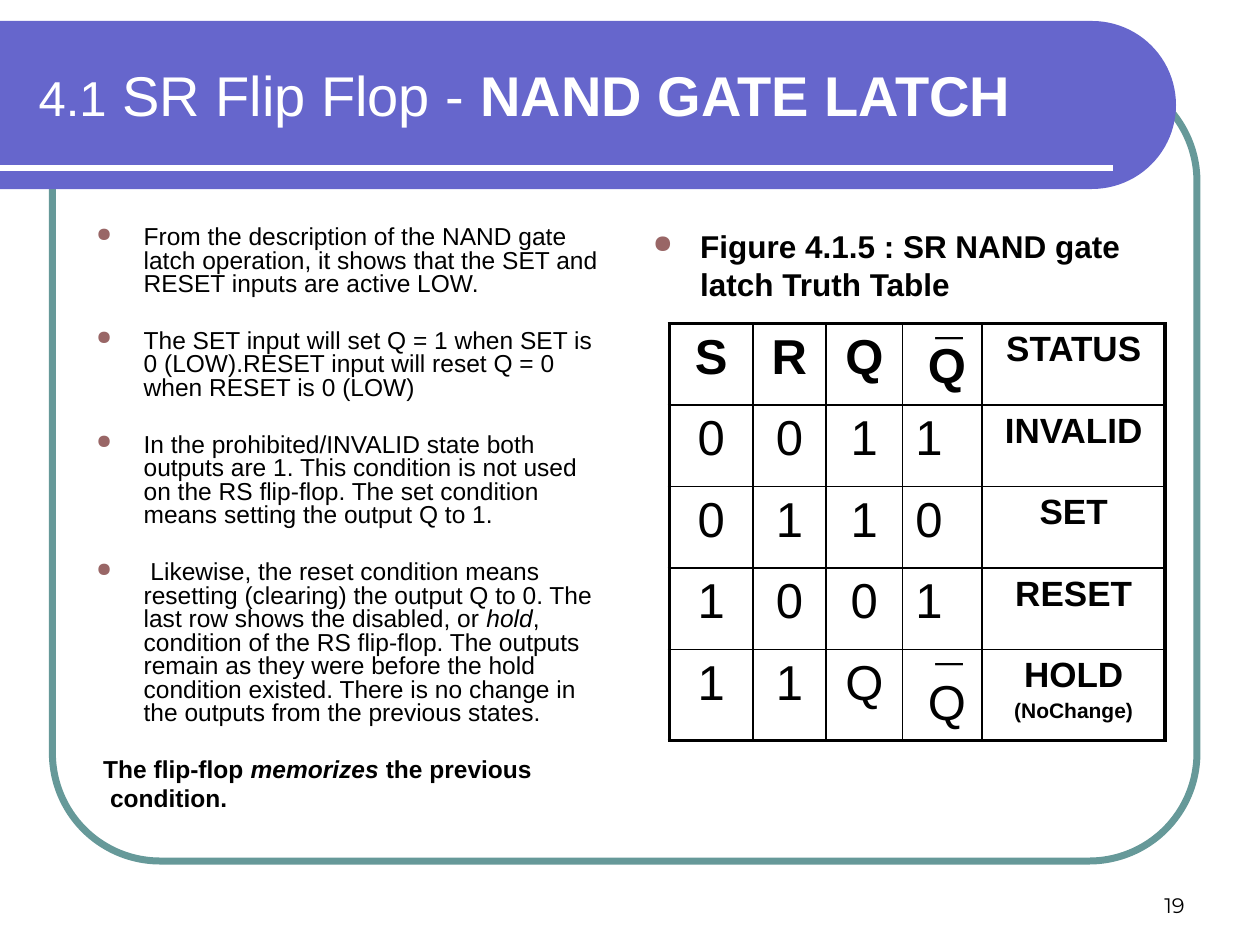
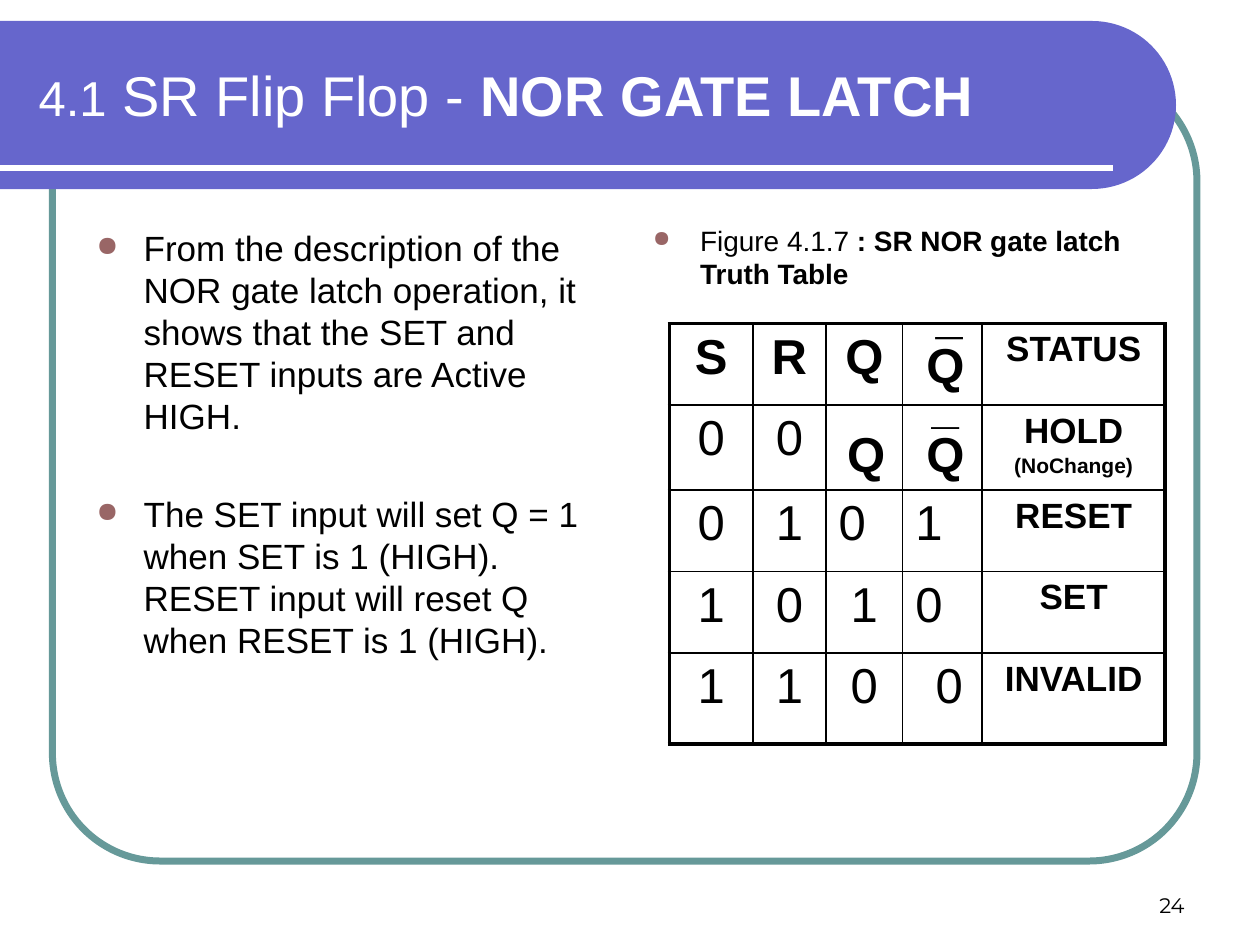
from math import cos, pi, sin

from lxml import etree
from pptx import Presentation
from pptx.dml.color import RGBColor
from pptx.enum.shapes import MSO_CONNECTOR, MSO_SHAPE
from pptx.enum.text import MSO_ANCHOR, PP_ALIGN
from pptx.oxml.ns import qn
from pptx.util import Pt

BLACK = RGBColor(0, 0, 0)
WHITE = RGBColor(255, 255, 255)
BLUE = RGBColor(0x66, 0x66, 0xCC)
TEAL = RGBColor(0x66, 0x99, 0x99)
ROSE = RGBColor(0x99, 0x66, 0x66)
LEFT, MID, RIGHT = PP_ALIGN.LEFT, PP_ALIGN.CENTER, PP_ALIGN.RIGHT
TOP, CENTER, BASE = MSO_ANCHOR.TOP, MSO_ANCHOR.MIDDLE, MSO_ANCHOR.BOTTOM
ROUND = MSO_SHAPE.ROUNDED_RECTANGLE
LINE = MSO_CONNECTOR.STRAIGHT
FONT, PAGE = "Arial", "Montserrat"
COLS = [47.7, 41.8, 43.9, 45.4, 104.6]
THICK, THIN = 2.25, 1
HANG = 27
SPACE = 3.9
BAR = " \u00af"
HOLD = "HOLD\n(NoChange)"
HEAD = ["S", "R", "Q", BAR, "STATUS"]


def child(parent, tag, **attrs):
    node = etree.SubElement(parent, qn(tag))
    for key, val in attrs.items():
        node.set(key, str(val))
    return node


class Deck:
    def __init__(self):
        self.prs = Presentation()
        self.prs.slide_width, self.prs.slide_height = Pt(720), Pt(540)
        self.slide = None

    def start(self, title, page):
        self.slide = self.prs.slides.add_slide(self.prs.slide_layouts[6])
        self.frame()
        self.band()
        self.rule()
        self.title(title)
        frame = self.box(516, 492, 168, 36, BASE)
        self.fill(frame.paragraphs[0], [(page, "")], 12, align=RIGHT, name=PAGE)

    def frame(self):
        shape = self.slide.shapes.add_shape(ROUND, Pt(30), Pt(42), Pt(654), Pt(450))
        shape.adjustments[0] = 0.137
        shape.shadow.inherit = False
        shape.fill.background()
        shape.line.color.rgb = TEAL
        shape.line.width = Pt(4)

    def band(self):
        top, rad, mid, steps = 12, 48, 624, 48
        turns = [pi * n / steps - pi / 2 for n in range(steps + 1)]
        arc = [(Pt(mid + rad * cos(t)), Pt(top + rad + rad * sin(t))) for t in turns]
        edge = self.slide.shapes.build_freeform(Pt(0), Pt(top))
        edge.add_line_segments(arc + [(Pt(0), Pt(top + 2 * rad))], close=True)
        shape = edge.convert_to_shape()
        shape.shadow.inherit = False
        shape.fill.solid()
        shape.fill.fore_color.rgb = BLUE
        shape.line.fill.background()

    def rule(self):
        line = self.slide.shapes.add_connector(LINE, Pt(0), Pt(96), Pt(636), Pt(96))
        line.line.color.rgb = WHITE
        line.line.width = Pt(3)
        child(line._element.spPr, "a:effectLst")

    def box(self, x, y, w, h, anchor=TOP, wrap=True):
        shape = self.slide.shapes.add_textbox(Pt(x), Pt(y), Pt(w), Pt(h))
        frame = shape.text_frame
        frame.word_wrap = wrap
        frame.vertical_anchor = anchor
        return frame

    def fill(self, para, runs, size, align=LEFT, color=BLACK, name=FONT):
        para.alignment = align
        font = para.font
        font.name, font.size = name, Pt(size)
        font.color.rgb = color
        marks = [mark for _, mark in runs]
        same = len(set(marks)) == 1
        if same:
            font.bold, font.italic = "b" in marks[0], "i" in marks[0]
        for text, mark in runs:
            run = para.add_run()
            run.text = text
            if not same:
                run.font.bold, run.font.italic = "b" in mark, "i" in mark

    def title(self, name):
        para = self.box(15, 18, 631.5, 72, CENTER).paragraphs[0]
        runs = [("4.1", ""), (" SR Flip Flop - ", ""), (name, "b")]
        self.fill(para, runs, 32, color=WHITE)
        para.runs[0].font.size = Pt(28)

    def bullet(self, para):
        props = para._p.get_or_add_pPr()
        props.set("marL", str(Pt(HANG)))
        props.set("indent", str(-Pt(HANG)))
        child(child(props, "a:buClr"), "a:srgbClr", val=ROSE)
        child(props, "a:buSzPct", val=80000)
        child(props, "a:buChar", char="\u25cf")

    def body(self, x, y, size, items, lead=1.0, tail=()):
        frame = self.box(x, y, 306, 348)
        near = 0.2 * size
        gap = 2 * near + 1.2 * size * lead
        for n, runs in enumerate([*items, *tail]):
            para = frame.add_paragraph() if n else frame.paragraphs[0]
            para.line_spacing = lead
            extra = n - len(items)
            para.space_before = Pt(near if n == 0 or extra > 0 else gap)
            if extra < 0:
                self.bullet(para)
            else:
                para._p.get_or_add_pPr().set("marL", str(Pt(SPACE * (extra + 1))))
            self.fill(para, runs, size)

    def mark(self, x, y, text="Q", style="b"):
        frame = self.box(x, y, 45.4, 45.4, CENTER, False)
        self.fill(frame.paragraphs[0], [(text, style)], 28, MID)

    def edge(self, cell, sides):
        props = cell._tc.get_or_add_tcPr()
        for side, width in zip("LRTB", sides):
            line = child(props, "a:ln" + side, w=Pt(width))
            child(child(line, "a:solidFill"), "a:srgbClr", val=BLACK)

    def cell(self, cell, text, head, last, align):
        frame = cell.text_frame
        for n, part in enumerate(text.split("\n")):
            para = frame.add_paragraph() if n else frame.paragraphs[0]
            size = 12 if n else 20 if last else 28
            para.space_before = Pt(0.2 * size)
            if part:
                self.fill(para, [(part, "b" if head or last else "")], size, align)

    def table(self, rows, highs, left):
        rows = [HEAD, *rows]
        high, wide = len(rows), len(COLS)
        table = self.slide.shapes.add_table(
            high, wide, Pt(382.5), Pt(185), Pt(sum(COLS)), Pt(sum(highs))).table
        table.first_row = table.horz_banding = False
        for col, width in zip(table.columns, COLS):
            col.width = Pt(width)
        for r, row in enumerate(rows):
            table.rows[r].height = Pt(highs[r])
            for c, text in enumerate(row):
                cell = table.cell(r, c)
                align = LEFT if (r, c) in left else MID
                self.cell(cell, text, r == 0, c == wide - 1, align)
                ends = (c == 0, c == wide - 1, r == 0, r == high - 1)
                self.edge(cell, [THICK if end else THIN for end in ends])
                cell.fill.background()


deck = Deck()

deck.start("NAND GATE LATCH", "19")
deck.body(48, 126, 14, [
    [("From the description of the NAND gate latch operation, it shows that "
      "the SET and RESET inputs are active LOW.", "")],
    [("The SET input will set Q = 1 when SET is 0 (LOW).RESET input will "
      "reset Q = 0 when RESET is 0 (LOW)", "")],
    [("In the prohibited/INVALID state both outputs are 1. This condition is "
      "not used on the RS flip-flop. The set condition means setting the "
      "output Q to 1.", "")],
    [(" Likewise, the reset condition means resetting (clearing) the output Q "
      "to 0. The last row shows the disabled, or ", ""),
     ("hold", "i"),
     (", condition of the RS flip-flop. The outputs remain as they were before "
      "the hold condition existed. There is no change in the outputs from the "
      "previous states.", "")],
], 0.8, [
    [("The flip-flop ", "b"), ("memorizes", "bi"), (" the previous", "b")],
    [("condition.", "b")],
])
deck.body(366, 126, 18, [[("Figure 4.1.5 : SR NAND gate latch Truth Table", "b")]])
deck.mark(518.4, 185)
deck.mark(518.4, 378, style="")
deck.table([
    ["0", "0", "1", "1", "INVALID"],
    ["0", "1", "1", "0", "SET"],
    ["1", "0", "0", "1", "RESET"],
    ["1", "1", "Q", BAR, HOLD],
], [46.6] * 4 + [52], {(1, 3), (2, 3), (3, 3)})

deck.start("NOR GATE LATCH", "24")
deck.body(48, 126, 20, [
    [("From the description of the NOR gate latch operation, it shows that "
      "the SET and RESET inputs are Active HIGH.", "")],
    [("The SET input will set Q = 1 when SET is 1 (HIGH). RESET input will "
      "reset Q when RESET is 1 (HIGH).", "")],
])
deck.body(366, 124, 16, [
    [("Figure 4.1.7", ""), (" : SR NOR gate latch Truth Table", "b")]])
deck.table([
    ["0", "0", "", "", HOLD],
    ["0", "1", "0", "1", "RESET"],
    ["1", "0", "1", "0", "SET"],
    ["1", "1", "0", " 0", "INVALID"],
], [46.6, 48.5, 46.6, 46.6, 52], {(2, 2), (2, 3), (3, 3)})
deck.mark(472.3, 236)
deck.mark(517.5, 236)
deck.mark(517.5, 185.5)
deck.mark(517.5, 208, "_")

deck.prs.save("out.pptx")
